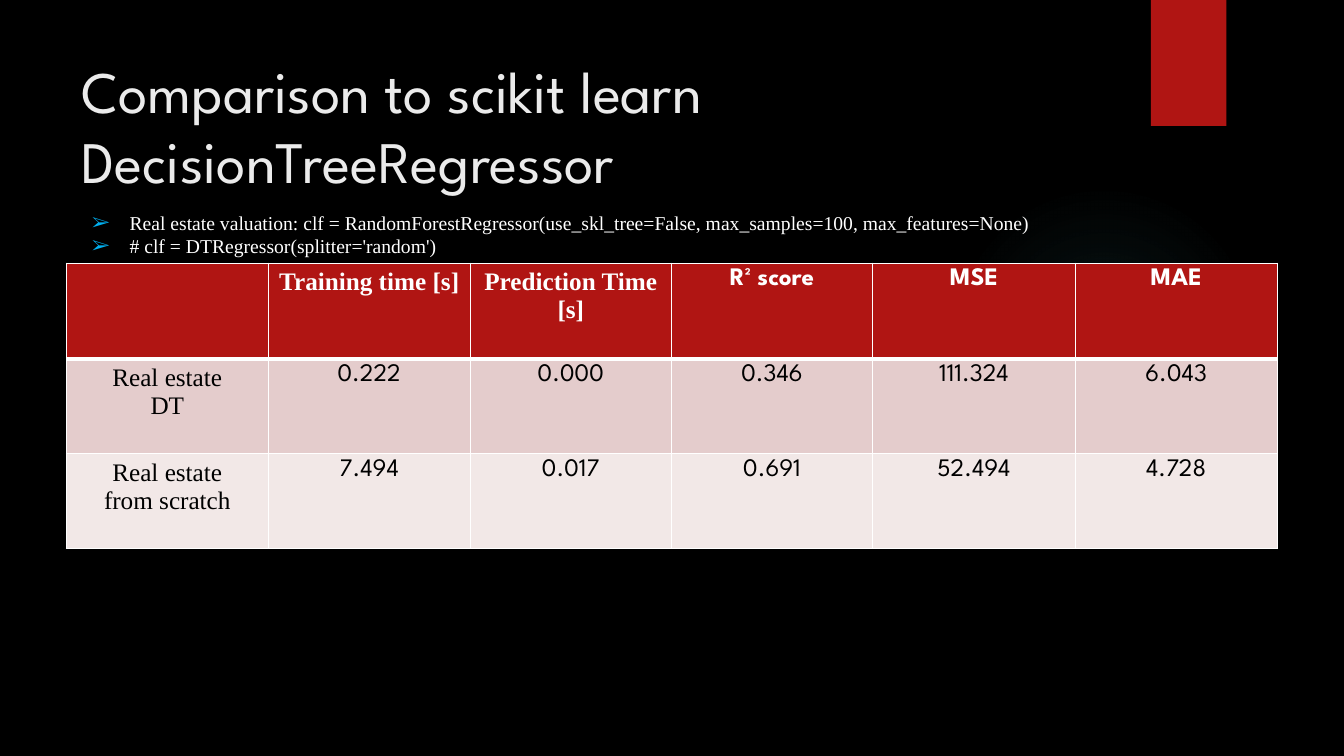
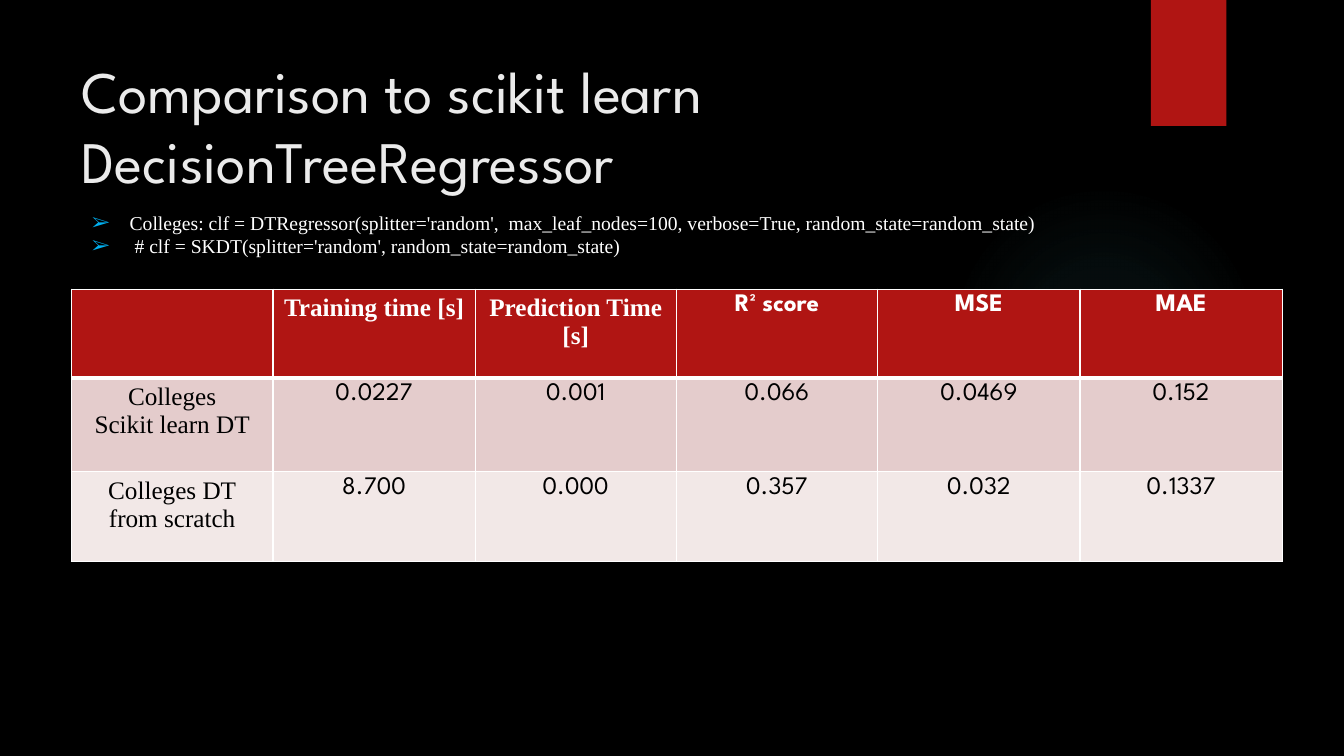
from lxml.etree import SubElement
from pptx import Presentation
from pptx.dml.color import RGBColor
from pptx.enum.shapes import MSO_SHAPE
from pptx.enum.text import MSO_ANCHOR, PP_ALIGN
from pptx.oxml import parse_xml
from pptx.oxml.ns import nsdecls, qn
from pptx.util import Pt

TITLE = "Comparison to scikit learn DecisionTreeRegressor"
HEAD = ["", "Training time [s]", "Prediction Time [s]", "R² score", "MSE", "MAE"]
SLIDES = [
    {
        "notes": [
            "Real estate valuation: clf = RandomForestRegressor("
            "use_skl_tree=False, max_samples=100, max_features=None)",
            "# clf = DTRegressor(splitter='random')",
        ],
        "rows": [
            ["Real estate\nDT", "0.222", "0.000", "0.346", "111.324", "6.043"],
            ["Real estate\nfrom scratch", "7.494", "0.017", "0.691", "52.494", "4.728"],
        ],
        "place": (47.5, 188),
        "heights": (68.5, 67.5, 68),
    },
    {
        "notes": [
            "Colleges: clf = DTRegressor(splitter='random',  max_leaf_nodes=100, "
            "verbose=True, random_state=random_state)",
            " # clf = SKDT(splitter='random', random_state=random_state)",
        ],
        "rows": [
            ["Colleges\nScikit learn DT", "0.0227", "0.001", "0.066", "0.0469", "0.152"],
            ["Colleges DT\nfrom scratch", "8.700", "0.000", "0.357", "0.032", "0.1337"],
        ],
        "place": (51, 206.5),
        "heights": (63.5, 67, 64),
    },
]
WIDTHS = (144, 144.5, 143.5, 144, 144.5, 144.5)

SANS, SERIF = "League Spartan", "Times New Roman"
BLACK, WHITE, PALE = "000000", "FFFFFF", "EBEBEB"
RED, TEAL, BLUE = "B01513", "50B9C1", "00B0F0"
BANDS = (RED, "E4CCCC", "F2E8E7")
GLOW = ((0, 7), (36, 6), (69, 0))  # stop and opacity, in percent


def paint(fill, color):
    fill.solid()
    fill.fore_color.rgb = RGBColor.from_string(color)


def style(frame, face, size, color, bold=False, align=PP_ALIGN.LEFT):
    for para in frame.paragraphs:
        para.alignment = align
        for run in para.runs:
            font = run.font
            font.name, font.size, font.bold = face, Pt(size), bold
            font.color.rgb = RGBColor.from_string(color)


def add_form(slide, kind, *box):
    form = slide.shapes.add_shape(kind, *map(Pt, box))
    form.shadow.inherit = False
    form.line.fill.background()
    return form


def add_text(slide, text, *box):
    frame = slide.shapes.add_textbox(*map(Pt, box)).text_frame
    frame.word_wrap = True
    frame.text = text
    return frame


def add_glow(slide):
    """Draw the faint round light that fades outwards."""
    form = add_form(slide, MSO_SHAPE.OVAL, 677.5, 132, 222, 222)
    stops = "".join(
        f'<a:gs pos="{stop * 1000}"><a:srgbClr val="{TEAL}">'
        f'<a:alpha val="{alpha * 1000}"/></a:srgbClr></a:gs>'
        for stop, alpha in GLOW
    )
    grad = parse_xml(
        f'<a:gradFill {nsdecls("a")}><a:gsLst>{stops}</a:gsLst><a:path path="circle">'
        '<a:fillToRect l="50000" t="50000" r="50000" b="50000"/></a:path></a:gradFill>'
    )
    form._element.spPr.insert(2, grad)


def add_base(slide):
    """Draw what all slides share: glow, ribbon and title."""
    add_glow(slide)
    ribbon = add_form(slide, MSO_SHAPE.RECTANGLE, 822, 0, 54, 90)
    paint(ribbon.fill, RED)
    title = add_text(slide, TITLE, 51, 33, 741, 110)
    title.vertical_anchor = MSO_ANCHOR.BOTTOM
    title.paragraphs[0].line_spacing = Pt(50)
    style(title, SANS, 42, PALE)


def add_notes(slide, notes):
    frame = add_text(slide, "\n".join(notes), 58.5, 147, 829, 82)
    style(frame, SERIF, 14, WHITE)
    for para in frame.paragraphs:
        props = para._p.get_or_add_pPr()
        props.set("marL", str(Pt(27)))
        props.set("indent", str(-Pt(27)))
        color = SubElement(props, qn("a:buClr"))
        SubElement(color, qn("a:srgbClr"), val=BLUE)
        SubElement(props, qn("a:buFont"), typeface=SERIF)
        SubElement(props, qn("a:buChar"), char="➢")


def add_edges(cell, widths):
    """Give the cell white left, right, top and bottom edges."""
    props = cell._tc.get_or_add_tcPr()
    for i, (side, width) in enumerate(zip("LRTB", widths)):
        props.insert(i, parse_xml(
            f'<a:ln{side} {nsdecls("a")} w="{Pt(width)}"><a:solidFill>'
            f'<a:srgbClr val="{WHITE}"/></a:solidFill></a:ln{side}>'
        ))


def add_grid(slide, rows, place, heights):
    left, top = place
    box = (left, top, sum(WIDTHS), sum(heights))
    table = slide.shapes.add_table(len(rows), len(WIDTHS), *map(Pt, box)).table
    table.horz_banding = False
    for col, width in zip(table.columns, WIDTHS):
        col.width = Pt(width)
    for r, texts in enumerate(rows):
        table.rows[r].height = Pt(heights[r])
        head = r == 0
        for c, text in enumerate(texts):
            cell = table.cell(r, c)
            cell.text_frame.text = text
            serif = c == 0 or (head and c < 3)
            style(cell.text_frame, SERIF if serif else SANS, 18,
                  WHITE if head else BLACK, head, PP_ALIGN.CENTER)
            paint(cell.fill, BANDS[r])
            add_edges(cell, (1, 1, 3 if r == 1 else 1, 3 if head else 1))


def main():
    deck = Presentation()
    deck.slide_width, deck.slide_height = Pt(960), Pt(540)
    paint(deck.slide_master.background.fill, BLACK)
    for data in SLIDES:
        slide = deck.slides.add_slide(deck.slide_layouts[6])
        add_base(slide)
        add_grid(slide, [HEAD] + data["rows"], data["place"], data["heights"])
        add_notes(slide, data["notes"])
    deck.save("out.pptx")


if __name__ == "__main__":
    main()
